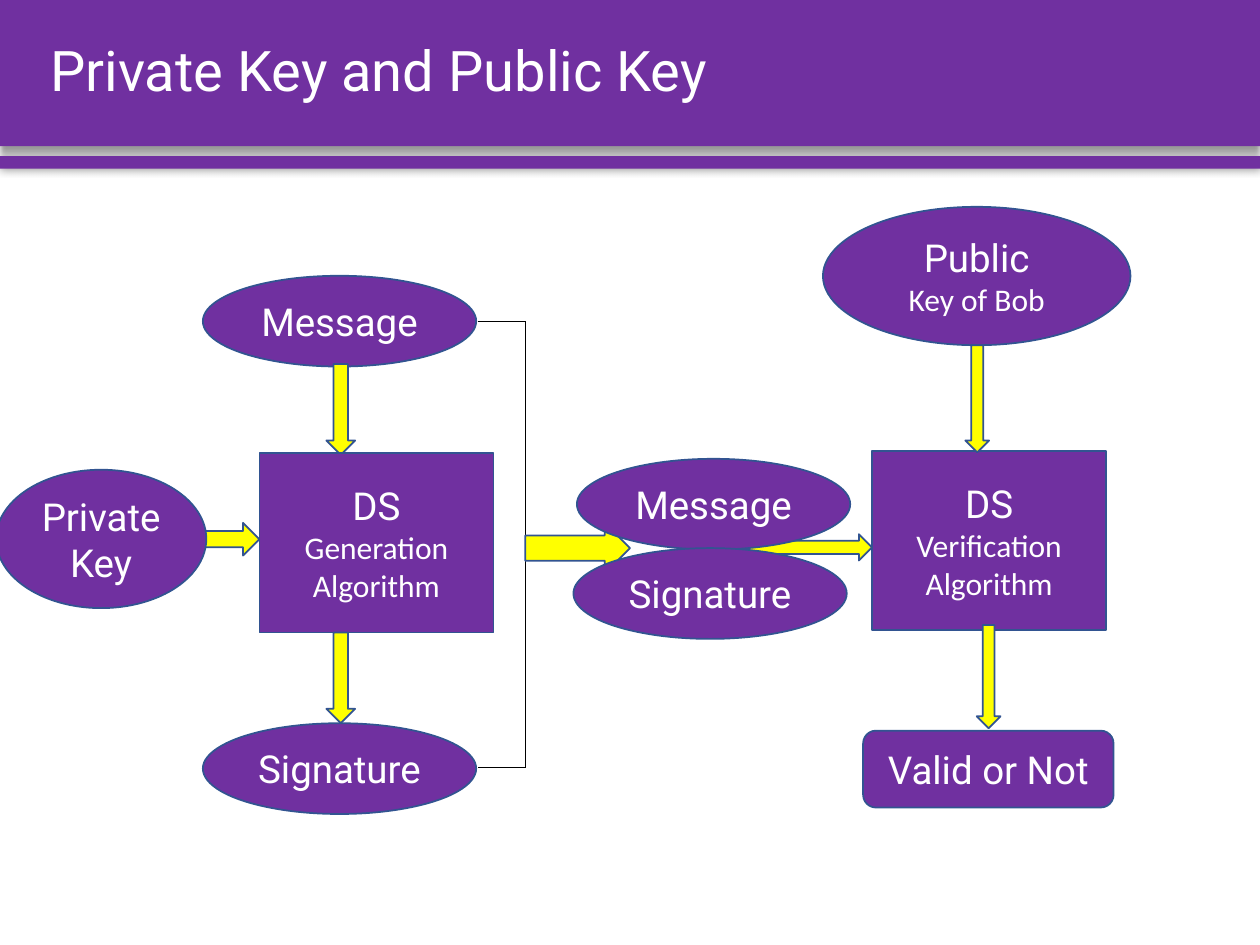
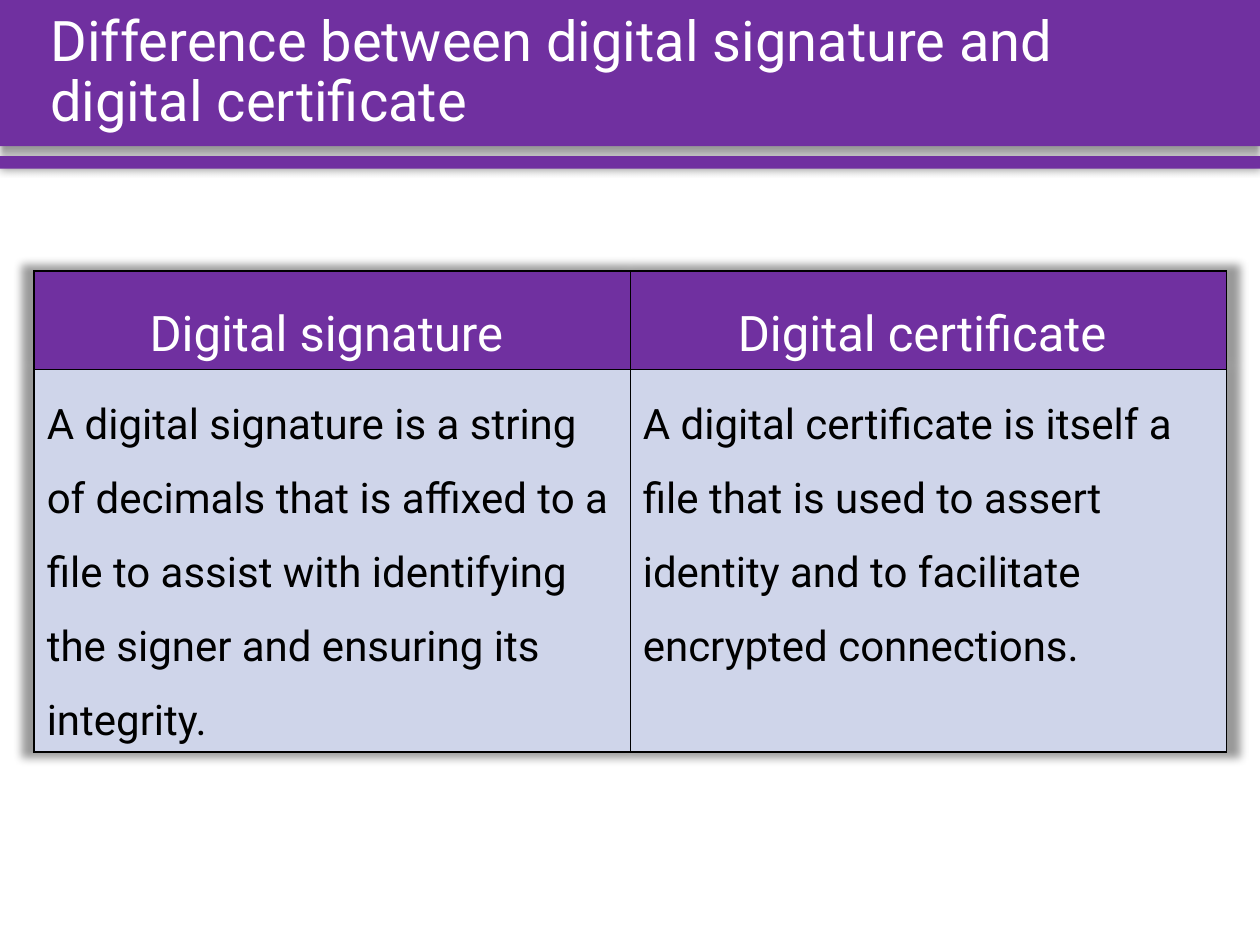
from lxml import etree
from pptx import Presentation
from pptx.dml.color import RGBColor
from pptx.enum.shapes import MSO_CONNECTOR, MSO_SHAPE as Preset
from pptx.enum.text import MSO_ANCHOR as Anchor, MSO_AUTO_SIZE as AutoSize, PP_ALIGN as Align
from pptx.oxml import parse_xml
from pptx.oxml.ns import nsdecls, qn
from pptx.util import Cm, Pt

PURPLE = RGBColor(0x70, 0x30, 0xA0)
YELLOW = RGBColor(0xFF, 0xFF, 0x00)
OUTLINE = RGBColor(0x32, 0x54, 0x91)
PALE_BLUE = RGBColor(0xCF, 0xD5, 0xEA)
WHITE = RGBColor(0xFF, 0xFF, 0xFF)
BLACK = RGBColor(0x00, 0x00, 0x00)

FONT = "Roboto"
SLIDE_WIDTH, SLIDE_HEIGHT = 25.4, 19.05
HEADER_HEIGHT = 2.95
TITLE_ONLY = 5
OVAL_SIZE = (5.51, 1.83)
ALGORITHM_SIZE = (4.72, 3.61)


def apply_format(target, values):
    """Set every attribute named in a dict of format values."""
    for name, value in values.items():
        setattr(target, name, value)


def write_text(paragraph, text, size, color, **layout):
    """Fill a paragraph with text in the shared font."""
    paragraph.text = text
    apply_format(paragraph, layout)
    font = paragraph.runs[0].font
    apply_format(font, {"name": FONT, "size": Pt(size), "bold": False})
    font.color.rgb = color


def shadow_effect(blur, distance=0, direction=0, scale=100):
    """Build an effect list with one translucent black shadow."""
    return parse_xml(
        f'<a:effectLst {nsdecls("a")}><a:outerShdw blurRad="{Pt(blur)}" dist="{Pt(distance)}" '
        f'dir="{direction * 60000}" sx="{scale * 1000}" sy="{scale * 1000}" algn="ctr" '
        'rotWithShape="0"><a:srgbClr val="000000"><a:alpha val="40000"/></a:srgbClr>'
        '</a:outerShdw></a:effectLst>')


def add_block(slide, preset, left, top, width, height, fill):
    """Add a filled preset shape without shadow."""
    shape = slide.shapes.add_shape(preset, Cm(left), Cm(top), Cm(width), Cm(height))
    shape.shadow.inherit = False
    shape.fill.solid()
    shape.fill.fore_color.rgb = fill
    return shape


def add_header_bands(slide):
    """Draw both header bands and move them to the slide's layout."""
    bands = ((0, HEADER_HEIGHT, shadow_effect(4, 3, 90)), (3.15, 0.25, shadow_effect(5)))
    for index, (top, height, effect) in enumerate(bands):
        band = add_block(slide, Preset.RECTANGLE, 0, top, SLIDE_WIDTH, height, PURPLE)
        band.line.fill.background()
        properties = band.element.spPr
        properties.replace(properties.find(qn("a:effectLst")), effect)
        slide.slide_layout.shapes.element.insert(2 + index, band.element)


def add_title(slide, text):
    """Place the title placeholder over the header band."""
    title = slide.shapes.title
    apply_format(title, {"left": Cm(0.76), "top": Cm(0), "width": Cm(24.03),
                         "height": Cm(HEADER_HEIGHT)})
    apply_format(title.text_frame, {"word_wrap": True, "auto_size": AutoSize.NONE,
                                    "vertical_anchor": Anchor.MIDDLE})
    write_text(title.text_frame.paragraphs[0], text, 32, WHITE,
               alignment=Align.LEFT, line_spacing=0.9)


def add_parts(slide, left, top, parts):
    """Draw labelled nodes and plain arrows relative to a corner."""
    for preset, text, (x, y), size in parts:
        shape = add_block(slide, preset, left + x, top + y, *size,
                          PURPLE if text else YELLOW)
        shape.line.color.rgb = OUTLINE
        shape.line.width = Pt(1)
        if text:
            apply_format(shape.text_frame, {"word_wrap": True, "vertical_anchor": Anchor.MIDDLE})
            write_text(shape.text_frame.paragraphs[0], text, 22, WHITE, alignment=Align.CENTER)


def add_signing(slide, left, top):
    """Draw the side that signs a message with the private key."""
    arrow_size = (0.58, 1.83)
    add_parts(slide, left, top, (
        (Preset.RIGHT_ARROW, "", (3.05, 4.98), (2.26, 0.66)),
        (Preset.FLOWCHART_CONNECTOR, "Private Key", (0, 3.91), (4.24, 2.79)),
        (Preset.OVAL, "Message", (4.17, 0), OVAL_SIZE),
        (Preset.DOWN_ARROW, "", (6.66, 1.78), arrow_size),
        (Preset.RECTANGLE, "DS\nGeneration\nAlgorithm", (5.31, 3.58), ALGORITHM_SIZE),
        (Preset.OVAL, "Signature", (4.17, 9.02), OVAL_SIZE),
        (Preset.DOWN_ARROW, "", (6.66, 7.19), arrow_size),
    ))


def add_bracket(slide, left, top, width, height):
    """Join message and signature with three thin lines."""
    right, bottom = left + width, top + height
    corners = ((left, top), (right, top), (right, bottom), (left, bottom))
    for start, end in zip(corners, corners[1:]):
        line = slide.shapes.add_connector(MSO_CONNECTOR.STRAIGHT, *map(Cm, start + end))
        line.line.color.rgb = BLACK
        line.line.width = Pt(0.5)
        etree.SubElement(line.element.spPr, qn("a:effectLst"))


def add_transfer(slide, left, top):
    """Draw the message and signature sent together."""
    add_parts(slide, left, top, (
        (Preset.RIGHT_ARROW, "", (3.81, 1.52), (3.18, 0.53)),
        (Preset.RIGHT_ARROW, "", (0, 1.29), (2.11, 1.02)),
        (Preset.OVAL, "Message", (1.04, 0), OVAL_SIZE),
        (Preset.OVAL, "Signature", (0.97, 1.8), OVAL_SIZE),
    ))


def add_verification(slide, left, top):
    """Draw the side that verifies with the public key."""
    add_parts(slide, left, top, (
        (Preset.RECTANGLE, "DS\nVerification\nAlgorithm", (0.99, 4.92), ALGORITHM_SIZE),
        (Preset.FLOWCHART_CONNECTOR, "Public\nKey of Bob", (0, 0), (6.2, 2.79)),
        (Preset.DOWN_ARROW, "", (2.87, 2.79), (0.48, 2.16)),
        (Preset.DOWN_ARROW, "", (3.1, 8.43), (0.48, 2.08)),
        (Preset.FLOWCHART_ALTERNATE_PROCESS, "Valid or Not", (0.81, 10.56), (5.05, 1.55)),
    ))


def add_cell_borders(cell):
    """Give a filled cell a thin black line on each side."""
    properties = cell._tc.get_or_add_tcPr()
    for index, side in enumerate("LRTB"):
        properties.insert(index, parse_xml(
            f'<a:ln{side} {nsdecls("a")} w="{Pt(1)}"><a:solidFill>'
            f'<a:srgbClr val="{BLACK}"/></a:solidFill></a:ln{side}>'))


def add_comparison(slide, left, top, width, rows):
    """Add a two-column comparison table with a soft shadow."""
    heights = (1.96, 7.67)
    styles = ((PURPLE, WHITE, 28, Align.CENTER), (PALE_BLUE, BLACK, 24, Align.LEFT))
    frame = slide.shapes.add_table(len(rows), 2, Cm(left), Cm(top), Cm(width), Cm(sum(heights)))
    table = frame.table
    table.horz_banding = False
    table._tbl.tblPr.insert(0, shadow_effect(5, scale=102))
    for row, texts, height, (fill, color, size, alignment) in zip(
            table.rows, rows, heights, styles):
        row.height = Cm(height)
        for cell, text in zip(row.cells, texts):
            cell.fill.solid()
            cell.fill.fore_color.rgb = fill
            add_cell_borders(cell)
            write_text(cell.text_frame.paragraphs[0], text, size, color,
                       alignment=alignment, line_spacing=1.5)


def build_key_slide(slide):
    """Build the signing and verification diagram."""
    add_title(slide, "Private Key and Public Key")
    add_signing(slide, -0.08, 5.56)
    add_bracket(slide, 9.63, 6.48, 0.96, 9)
    add_transfer(slide, 10.59, 9.25)
    add_verification(slide, 16.59, 4.17)


def build_difference_slide(slide):
    """Build the signature and certificate comparison."""
    add_title(slide, "Difference between digital signature and digital certificate")
    add_comparison(slide, 0.69, 5.46, 24.03, (
        ("Digital signature ", "Digital certificate "),
        ("A digital signature is a string of decimals that is affixed to a file to assist "
         "with identifying the signer and ensuring its integrity.",
         "A digital certificate is itself a file that is used to assert identity and to "
         "facilitate encrypted connections."),
    ))


def main():
    """Create the presentation and save it."""
    presentation = Presentation()
    presentation.slide_width = Cm(SLIDE_WIDTH)
    presentation.slide_height = Cm(SLIDE_HEIGHT)
    layout = presentation.slide_layouts[TITLE_ONLY]
    key_slide, difference_slide = (presentation.slides.add_slide(layout) for _ in range(2))
    add_header_bands(key_slide)
    build_key_slide(key_slide)
    build_difference_slide(difference_slide)
    presentation.save("out.pptx")


if __name__ == "__main__":
    main()
